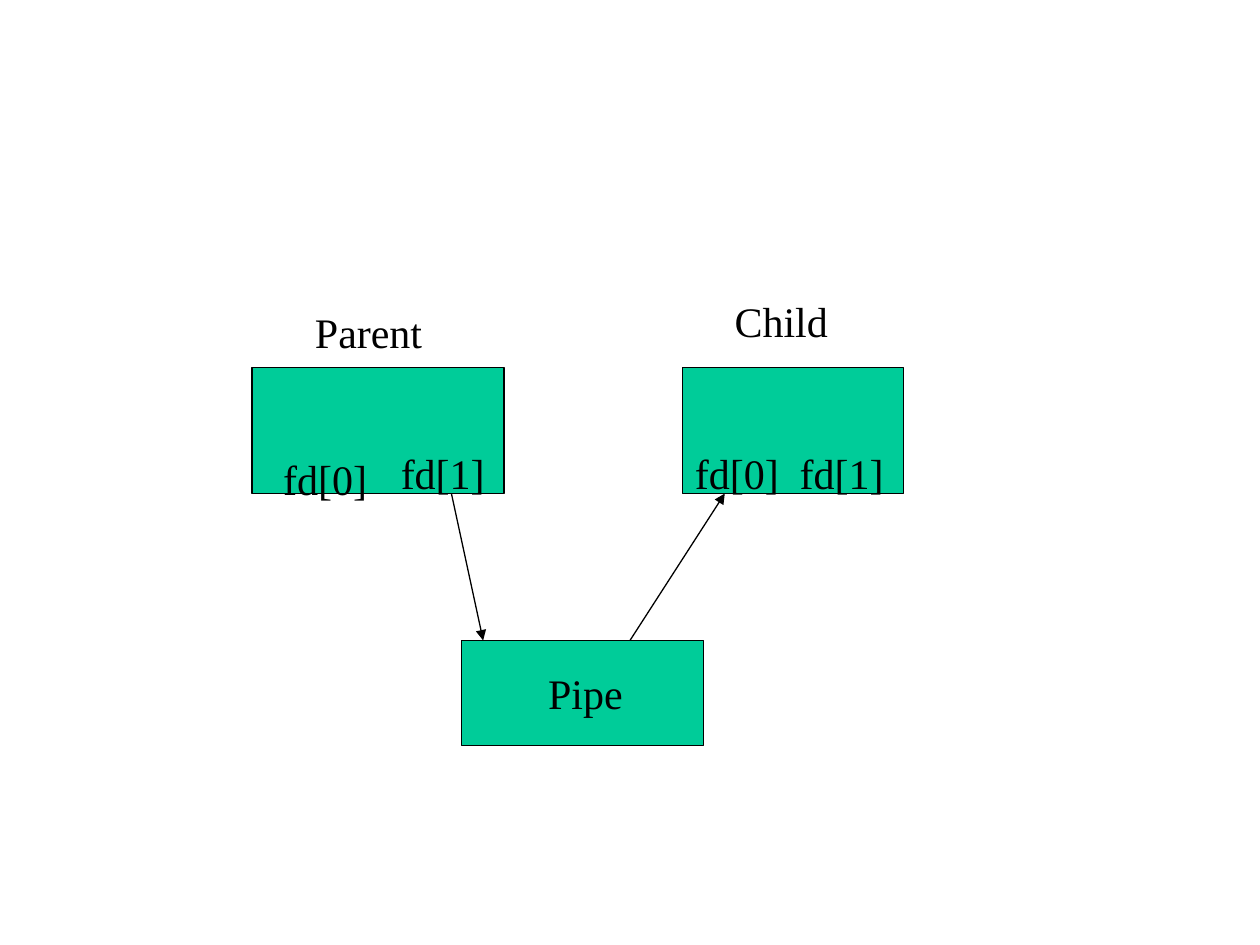
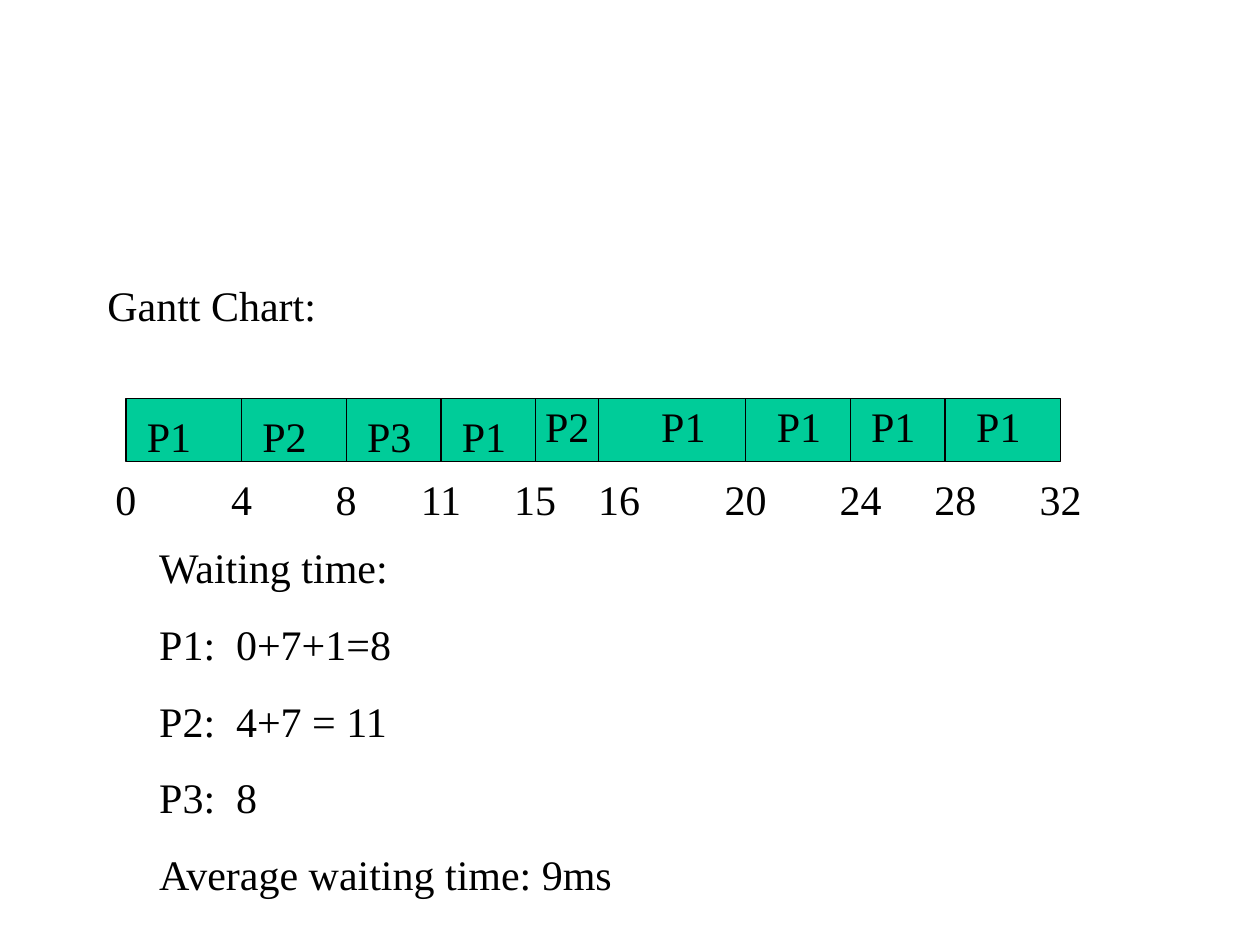
"""Build two slides: a pipe between processes and a Gantt chart."""
import pptx
import pptx.dml.color
import pptx.enum.shapes
import pptx.enum.text
import pptx.oxml.ns
import pptx.util
from lxml import etree

Cm = pptx.util.Cm
Pt = pptx.util.Pt
qn = pptx.oxml.ns.qn
ALIGN = pptx.enum.text.PP_ALIGN
GROW = pptx.enum.text.MSO_AUTO_SIZE.SHAPE_TO_FIT_TEXT

BLACK = pptx.dml.color.RGBColor(0x00, 0x00, 0x00)
GREEN = pptx.dml.color.RGBColor(0x00, 0xCC, 0x99)
FONT = {"name": "Times New Roman", "size": Pt(24)}
LABEL = {"word_wrap": False, "auto_size": GROW}
NOTES = {"word_wrap": True, "auto_size": GROW}
FIRST = {"space_before": Pt(0)}
NEXT = {"space_before": Pt(15)}
HIGH = 1.27


def apply(item, form):
    """Set each value of a format dict on an item."""
    for name, value in form.items():
        setattr(item, name, value)


def write(para, text, form):
    """Put styled text in a paragraph."""
    apply(para, form)
    run = para.add_run()
    run.text = text
    apply(run.font, FONT)
    run.font.color.rgb = BLACK


def stroke(line):
    """Give a line the shared colour and width."""
    line.color.rgb = BLACK
    line.width = Pt(0.75)


def add_box(slide, left, top, width, height):
    """Draw a green box."""
    kind = pptx.enum.shapes.MSO_SHAPE.RECTANGLE
    box = slide.shapes.add_shape(kind, Cm(left), Cm(top), Cm(width), Cm(height))
    box.shadow.inherit = False
    box.fill.solid()
    box.fill.fore_color.rgb = GREEN
    stroke(box.line)


def add_line(slide, start, end, arrow=False):
    """Draw a straight line, with an arrowhead at its end if asked."""
    kind = pptx.enum.shapes.MSO_CONNECTOR.STRAIGHT
    line = slide.shapes.add_connector(kind, *map(Cm, start + end))
    stroke(line.line)
    props = line.element.spPr
    if arrow:
        etree.SubElement(props.find(qn("a:ln")), qn("a:tailEnd"), type="triangle")
    etree.SubElement(props, qn("a:effectLst"))


def add_label(slide, text, left, top, width, align=ALIGN.LEFT):
    """Place a one-line label."""
    box = slide.shapes.add_textbox(Cm(left), Cm(top), Cm(width), Cm(HIGH))
    apply(box.text_frame, LABEL)
    write(box.text_frame.paragraphs[0], text, {"alignment": align})


def add_notes(slide, lines, left, top, width, height, stop):
    """Place spaced lines, with one tab stop for their values."""
    box = slide.shapes.add_textbox(Cm(left), Cm(top), Cm(width), Cm(height))
    frame = box.text_frame
    apply(frame, NOTES)
    for i, text in enumerate(lines):
        para = frame.add_paragraph() if i else frame.paragraphs[0]
        if "\t" in text:
            tabs = etree.SubElement(para._p.get_or_add_pPr(), qn("a:tabLst"))
            etree.SubElement(tabs, qn("a:tab"), pos=str(Cm(stop)), algn="l")
        write(para, text, NEXT if i else FIRST)


def fill_body(slide, text):
    """Move the body placeholder and fill it without a bullet."""
    body = slide.placeholders[1]
    apply(body, {"left": Cm(1.91), "top": Cm(5.5), "width": Cm(21.59), "height": Cm(11.43)})
    para = body.text_frame.paragraphs[0]
    props = para._p.get_or_add_pPr()
    props.set("marL", str(Cm(0.95)))
    props.set("indent", str(Cm(-0.95)))
    etree.SubElement(props, qn("a:buNone"))
    write(para, text, FIRST)


def draw_pipe(deck):
    """Show a pipe that joins a parent and its child."""
    slide = deck.slides.add_slide(deck.slide_layouts[6])
    top, base, pipe = 7.41, 9.95, 12.91
    add_box(slide, 5.08, top, 5.08, base - top)
    add_box(slide, 13.76, top, 4.45, base - top)
    add_box(slide, 9.31, pipe, 4.87, 2.12)
    labels = [
        ("fd[0]", 5.46, 9.02, 2.22),
        ("fd[1]", 7.83, 8.89, 2.22),
        ("fd[1]", 15.87, 8.89, 2.22),
        ("fd[0]", 13.76, 8.89, 2.22),
        ("Parent", 6.1, 6.05, 2.67),
        ("Child", 14.56, 5.84, 2.4),
        ("Pipe", 10.8, 13.34, 2.01),
    ]
    for label in labels:
        add_label(slide, *label)
    add_line(slide, (9.1, base), (9.74, pipe), arrow=True)
    add_line(slide, (12.7, pipe), (14.61, base), arrow=True)


def draw_gantt(deck):
    """Show the Gantt chart and the waiting times."""
    slide = deck.slides.add_slide(deck.slide_layouts[1])
    title = slide.shapes.title.element
    title.getparent().remove(title)
    fill_body(slide, "Gantt Chart:")
    top = 8.04
    low, high = top + 0.12, top - 0.09
    marks = [2.54, 4.87, 6.98, 8.89, 10.79, 12.06, 15.03, 17.14, 19.05, 21.38]
    add_box(slide, marks[0], top, marks[-1] - marks[0], HIGH)
    for mark in marks[1:-1]:
        add_line(slide, (mark, top), (mark, top + HIGH))
    jobs = [
        ("P1", 0.17, low), ("P2", 0.17, low), ("P3", 0.17, low),
        ("P1", 0.17, low), ("P2", -0.05, high), ("P1", 1.02, high),
        ("P1", 0.38, high), ("P1", 0.17, high), ("P1", 0.38, high),
    ]
    for mark, (job, shift, level) in zip(marks, jobs):
        add_label(slide, job, mark + shift, level, 1.4)
    times = [0, 4, 8, 11, 15, 16, 20, 24, 28, 32]
    shifts = {16: 0.42, 24: 0.21, 28: 0.21}
    for mark, time in zip(marks, times):
        width = 1.35 if time > 9 else 0.93
        left = mark + shifts.get(time, 0) - width / 2
        add_label(slide, str(time), left, 9.43, width, ALIGN.CENTER)
    lines = [
        "Waiting time:",
        "P1:\t0+7+1=8",
        "P2:\t4+7 = 11",
        "P3:\t8",
        "Average waiting time: 9ms",
    ]
    add_notes(slide, lines, 2.96, 10.8, 13.55, 7.47, 1.55)


def main():
    """Build and save the deck."""
    deck = pptx.Presentation()
    apply(deck, {"slide_width": Cm(25.4), "slide_height": Cm(19.05)})
    draw_pipe(deck)
    draw_gantt(deck)
    deck.save("out.pptx")


if __name__ == "__main__":
    main()
